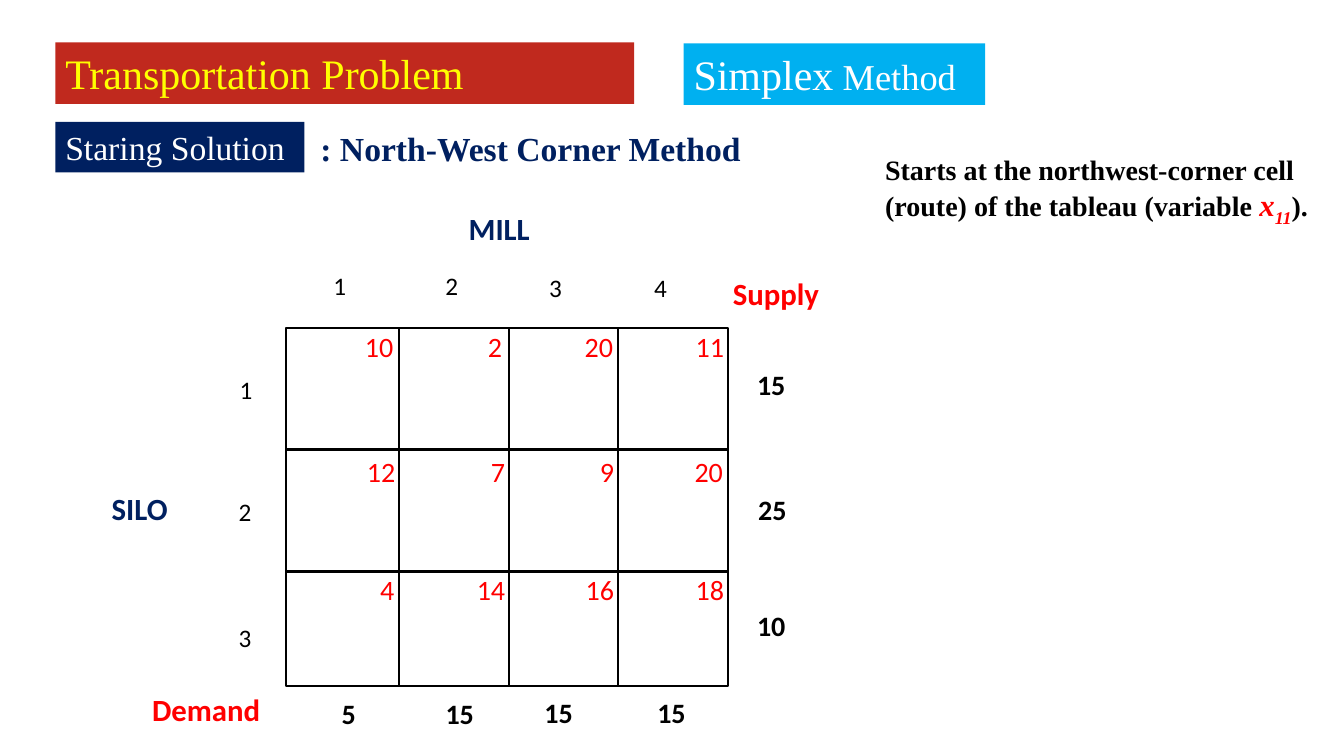
from pptx import Presentation
from pptx.dml.color import RGBColor
from pptx.enum import shapes, text
from pptx.util import Inches, Pt

SERIF, SANS = "Times New Roman", "Calibri"
NAVY, RED, BLACK, WHITE = "002060", "FF0000", "000000", "FFFFFF"

# Banners: place, fill, runs of (text, size), colour, bold
BANNERS = [
    ((0.55, 1.21, 2.47, 0.5), NAVY, [("Staring Solution", 24)], WHITE, False),
    ((0.55, 0.42, 5.74, 0.61), "C0291E", [("Transportation Problem", 30)], "FFFF00", False),
    ((6.78, 0.43, 2.99, 0.61), "00B0F0", [("Simplex", 30), (" Method", 26)], WHITE, False),
    ((3.08, 1.22, 4.6, 0.5), WHITE, [(": North-West Corner Method", 24)], NAVY, True),
]
# Table headings: text, place, colour
HEADINGS = [
    ("SILO", (1.01, 4.81, 0.83, 0.47), NAVY),
    ("MILL", (4.55, 2.03, 0.83, 0.47), NAVY),
    ("Supply", (7.17, 2.68, 1.25, 0.47), RED),
    ("Demand", (1.41, 6.8, 1.44, 0.47), RED),
]
# Explanation: text, size, colour, italic, subscript
NOTE_PLACE = (8.68, 1.46, 4.46, 0.81)
NOTE = [
    ("Starts at the northwest-corner cell (route) of the tableau (variable ", 20, BLACK, False, False),
    ("x", 22, RED, True, False),
    ("11", 22, RED, True, True),
    (").", 20, BLACK, False, False),
]
# Grid edges
COLUMN_EDGES = [2.84, 3.96, 5.05, 6.13, 7.22]
ROW_EDGES = [3.25, 4.46, 5.67, 6.81]
# Unit costs: row centre, then (cost, column centre)
COSTS = [
    (3.44, [("10", 3.76), ("2", 4.91), ("20", 5.94), ("11", 7.04)]),
    (4.68, [("12", 3.78), ("7", 4.94), ("9", 6.02), ("20", 7.03)]),
    (5.85, [("4", 3.84), ("14", 4.87), ("16", 5.95), ("18", 7.04)]),
]
# Numbers around the grid: (text, centre x, centre y)
MILLS = [("1", 3.37, 2.83), ("2", 4.48, 2.83), ("3", 5.51, 2.85), ("4", 6.55, 2.85)]
SILOS = [("1", 2.44, 3.86), ("2", 2.43, 5.07), ("3", 2.43, 6.32)]
SUPPLY = [("15", 7.65, 3.81), ("25", 7.66, 5.05), ("10", 7.65, 6.2)]
DEMAND = [("5", 3.46, 7.08), ("15", 4.56, 7.08), ("15", 5.54, 7.07), ("15", 6.66, 7.07)]

presentation = Presentation()
presentation.slide_width, presentation.slide_height = Inches(13.33), Inches(7.5)
slide = presentation.slides.add_slide(presentation.slide_layouts[6])


def colour(hex_string):
    return RGBColor.from_string(hex_string)


def set_font(font, size, hex_string, name, bold=False):
    font.size, font.name, font.bold = Pt(size), name, bold
    font.color.rgb = colour(hex_string)


def add_rectangle(place):
    shape = slide.shapes.add_shape(shapes.MSO_SHAPE.RECTANGLE, *map(Inches, place))
    shape.shadow.inherit = False
    return shape


def add_text_box(place):
    return slide.shapes.add_textbox(*map(Inches, place))


def first_paragraph(shape, align=text.PP_ALIGN.LEFT, anchor=text.MSO_ANCHOR.TOP):
    frame = shape.text_frame
    frame.word_wrap, frame.vertical_anchor = True, anchor
    paragraph = frame.paragraphs[0]
    paragraph.alignment = align
    return paragraph


def add_number(value, centre_x, centre_y, size, hex_string, bold=False, width=0.6, height=0.5):
    box = add_text_box((centre_x - width / 2, centre_y - height / 2, width, height))
    paragraph = first_paragraph(box, text.PP_ALIGN.CENTER, text.MSO_ANCHOR.MIDDLE)
    paragraph.text = value
    set_font(paragraph.font, size, hex_string, SANS, bold)


# Grid cells
for top, bottom in zip(ROW_EDGES, ROW_EDGES[1:]):
    for left, right in zip(COLUMN_EDGES, COLUMN_EDGES[1:]):
        cell = add_rectangle((left, top, right - left, bottom - top))
        cell.fill.background()
        cell.line.color.rgb = colour(BLACK)
        cell.line.width = Pt(1.5)

# Costs and surrounding numbers
for centre_y, row in COSTS:
    for cost, centre_x in row:
        add_number(cost, centre_x, centre_y, 20, RED)
for label in MILLS:
    add_number(*label, 18, BLACK, width=0.95, height=0.7)
for label in SILOS:
    add_number(*label, 18, BLACK, width=0.46, height=0.69)
for label in SUPPLY + DEMAND:
    add_number(*label, 20, BLACK, True, width=0.54, height=0.69)

# Headings
for heading, place, hex_string in HEADINGS:
    paragraph = first_paragraph(add_text_box(place))
    paragraph.text = heading
    set_font(paragraph.font, 22, hex_string, SANS, True)

# Explanation
paragraph = first_paragraph(add_text_box(NOTE_PLACE))
for words, size, hex_string, italic, subscript in NOTE:
    run = paragraph.add_run()
    run.text = words
    set_font(run.font, size, hex_string, SERIF, True)
    run.font.italic = italic
    if subscript:
        run._r.get_or_add_rPr().set("baseline", "-25000")

# Banners
for place, fill, runs, hex_string, bold in BANNERS:
    banner = add_rectangle(place)
    banner.fill.solid()
    banner.fill.fore_color.rgb = colour(fill)
    banner.line.fill.background()
    paragraph = first_paragraph(banner)
    for words, size in runs:
        run = paragraph.add_run()
        run.text = words
        set_font(run.font, size, hex_string, SERIF, bold)

presentation.save("out.pptx")
